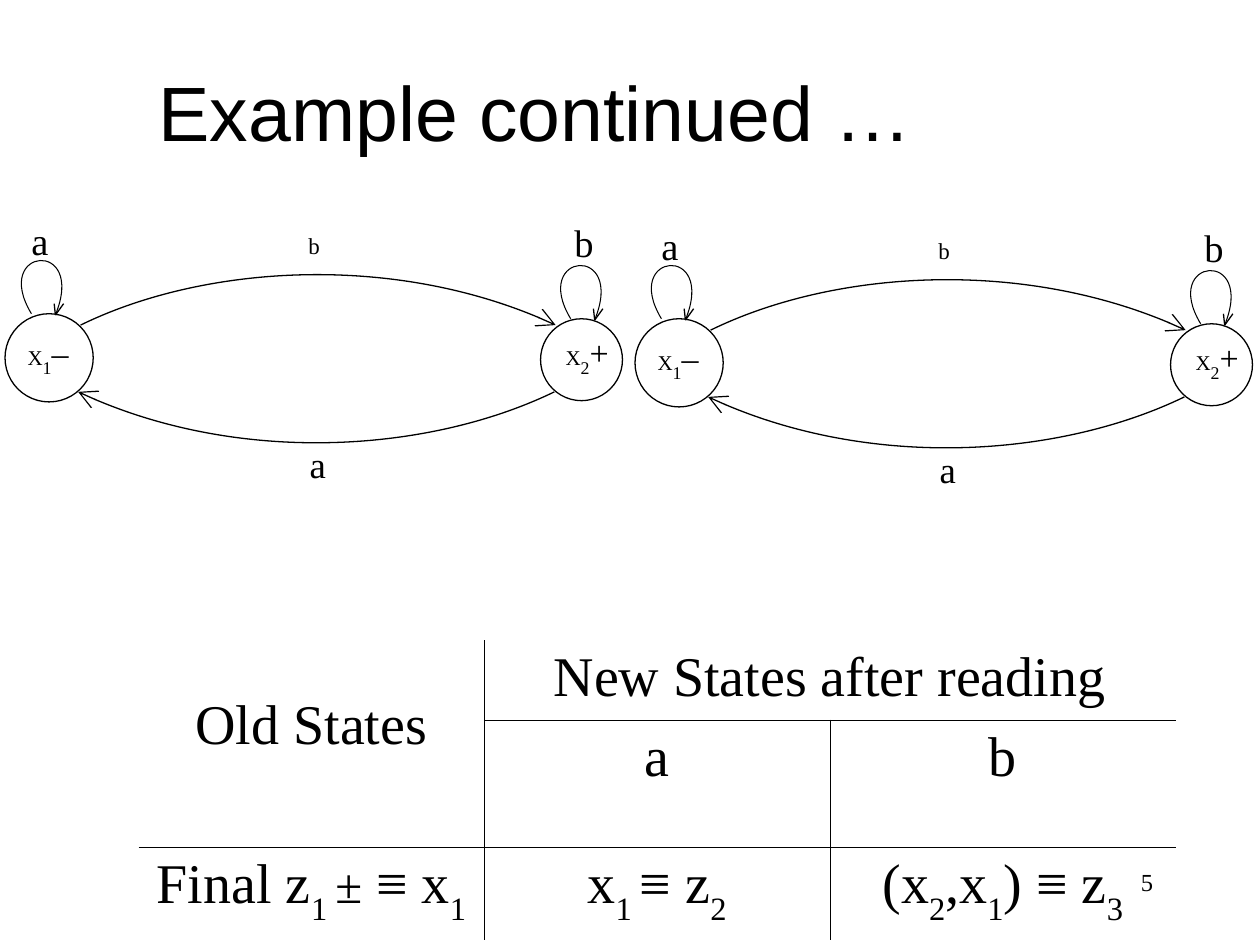
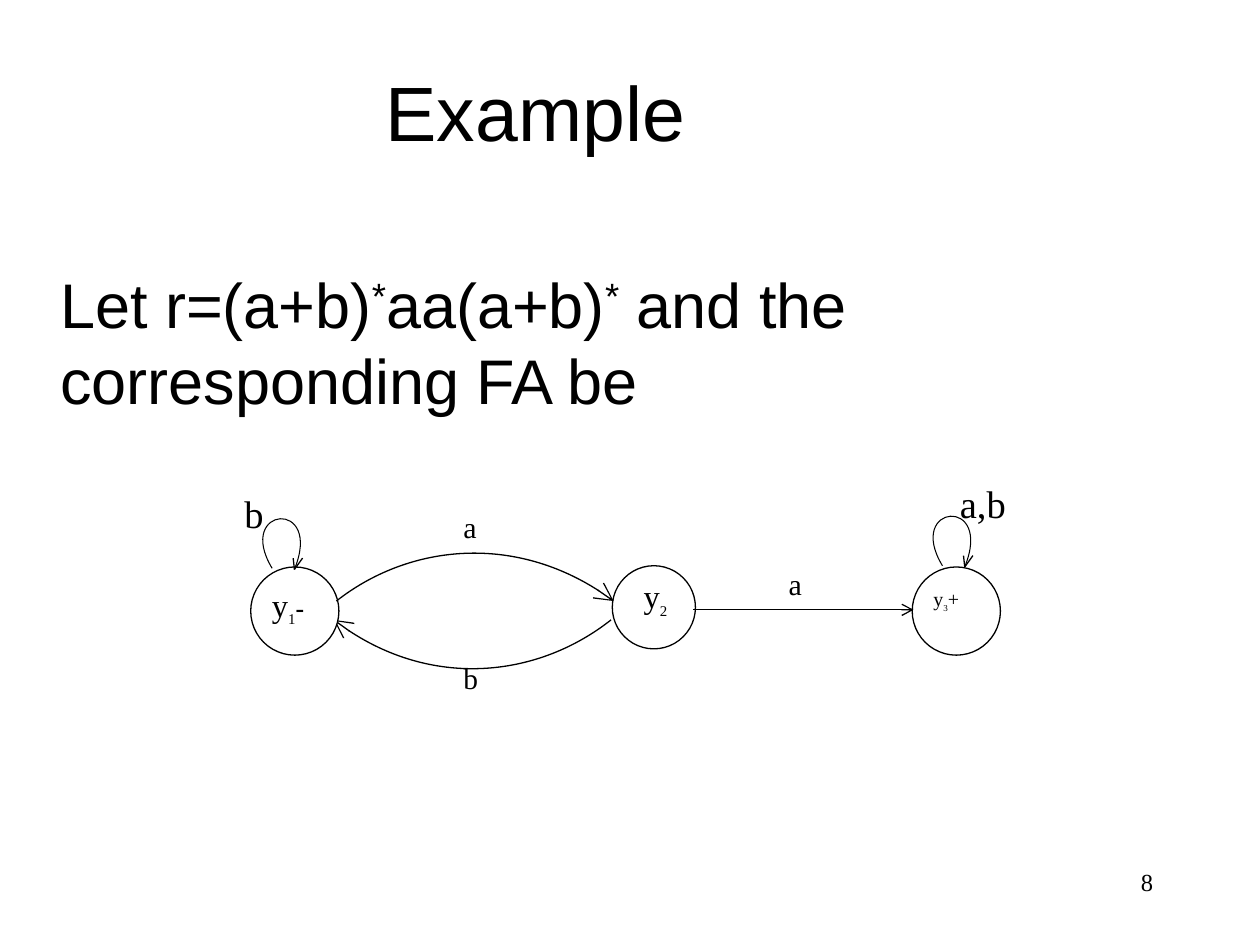
from lxml import etree
from pptx import Presentation, util as u
from pptx.dml.color import RGBColor
from pptx.enum import shapes, text
from pptx.oxml import ns

COLS, ROWS = 100, 75
SERIF, SANS = "Times New Roman", "Arial"
INK, PAPER = "000000", "FFFFFF"
SUB, SUP = -30, 30
THIN, FINE, HAIR = 0.75, 0.6, 0.45
PLAIN_GRID = "{2D5ABB26-0587-4C30-8999-92F81FD0307C}"
LEFT, MID, RIGHT = text.PP_ALIGN.LEFT, text.PP_ALIGN.CENTER, text.PP_ALIGN.RIGHT


def paint(fmt, code):
    fmt.solid()
    fmt.fore_color.rgb = RGBColor.from_string(code)


def style(item, fmt):
    for key, val in fmt.items():
        setattr(item, key, val)


def sub(node, tag, **atts):
    return etree.SubElement(node, ns.qn(tag), atts)


class Deck:
    """Holds the style, the current slide and the group being filled."""

    def __init__(self):
        self.prs = Presentation()
        self.prs.slide_width, self.prs.slide_height = u.Inches(10), u.Inches(7.5)
        self.origin = (0, 0)

    def x(self, col):
        return round(self.prs.slide_width * col / COLS)

    def y(self, row):
        return round(self.prs.slide_height * row / ROWS)

    def spot(self, col, row):
        return self.x(col + self.origin[0]), self.y(row + self.origin[1])

    def box(self, col, row, wide, high):
        return *self.spot(col, row), self.x(wide), self.y(high)

    def page(self, title, number):
        self.slide = self.prs.slides.add_slide(self.prs.slide_layouts[5])
        self.ungroup()
        head = self.slide.shapes.title
        style(head, dict(zip(("left", "top", "width", "height"), self.box(0, 2.5, 85, 12.5))))
        head.text_frame.vertical_anchor = text.MSO_ANCHOR.MIDDLE
        self.fill(head.text_frame, [(title, 44)], MID, SANS)
        self.label((71.7, 68.3, 20.8, 5), [(number, 14)], align=RIGHT)

    def group(self, col=0, row=0):
        self.host = self.slide.shapes.add_group_shape().shapes
        self.origin = (col, row)

    def ungroup(self):
        self.host, self.origin = self.slide.shapes, (0, 0)

    def fill(self, frame, runs, align=LEFT, face=SERIF):
        """Runs are (words, size, baseline percent, bold); the last two may be left out."""
        para = frame.paragraphs[0]
        para.alignment = align
        for words, size, *more in runs:
            run = para.add_run()
            run.text = words
            base, bold = (*more, 0, False)[:2]
            style(run.font, {"name": face, "size": u.Pt(size), "bold": bool(bold)})
            paint(run.font.fill, INK)
            if base:
                run.font._element.set("baseline", str(base * 1000))
        return para

    def label(self, place, runs, drop=0.5, align=LEFT, face=SERIF):
        frame = self.host.add_textbox(*self.box(*place)).text_frame
        style(frame, {"word_wrap": True, "margin_top": self.y(drop)})
        return self.fill(frame, runs, align, face)

    def trim(self, item, width, size=None):
        """Set the line, and an open arrowhead of the given size at its end."""
        paint(item.line.fill, INK)
        item.line.width = u.Pt(width)
        if size:
            sub(item.line._get_or_add_ln(), "a:tailEnd", type="arrow", w=size, len=size)

    def state(self, col, row, size):
        ring = self.host.add_shape(shapes.MSO_SHAPE.OVAL, *self.box(col, row, size, size))
        ring.shadow.inherit = False
        paint(ring.fill, PAPER)
        self.trim(ring, THIN)

    def stroke(self, spots, width=THIN, head=None):
        """Draw an open line; four spots make one Bézier curve."""
        first, *rest = [self.spot(*spot) for spot in spots]
        pen = self.host.build_freeform(*first)
        pen.add_line_segments(rest, close=False)
        item = pen.convert_to_shape()
        item.shadow.inherit = False
        item.fill.background()
        self.trim(item, width, head)
        if len(spots) == 4:
            track = next(item._element.iter(ns.qn("a:path")))
            legs = list(track)[1:]
            curve = sub(track, "a:cubicBezTo")
            for leg in legs:
                curve.append(leg[0])
                track.remove(leg)

    def arc(self, *spots):
        self.stroke(spots, head="lg")

    def loop(self, col, row, scale=1):
        """Draw a self-loop that leaves a state at the given spot."""
        steps = (0, 0), (-3.2, -5.3), (4.4, -6), (1.9, 0.1)
        spots = [(col + dx * scale, row + dy * scale) for dx, dy in steps]
        self.stroke(spots, FINE)
        tip_x, tip_y = spots[-1]
        for dx in (-0.1, 0.65):
            self.stroke([(tip_x + dx, tip_y - 0.9), (tip_x, tip_y)])

    def arrow(self, start, end):
        wire = self.host.add_connector(shapes.MSO_CONNECTOR.STRAIGHT,
                                       *self.spot(*start), *self.spot(*end))
        self.trim(wire, THIN, "med")
        sub(wire._element.spPr, "a:effectLst")

    def edge(self, cell, side):
        line = sub(cell._tc.get_or_add_tcPr(), "a:ln" + side, w=str(u.Pt(HAIR)))
        sub(sub(line, "a:solidFill"), "a:srgbClr", val=INK)

    def table(self, place, highs, rows, spans):
        """Spans are (row, column, last row, last column); outer edges stay open."""
        grid = self.host.add_table(len(rows), len(rows[0]), *self.box(*place)).table
        grid._tbl.tblPr.find(ns.qn("a:tableStyleId")).text = PLAIN_GRID
        style(grid, {"first_row": False, "horz_banding": False})
        for row, high in zip(grid.rows, highs):
            row.height = self.y(high)
        for top, left, low, right in spans:
            grid.cell(top, left).merge(grid.cell(low, right))
        owner = {(r, c): (top, left) for top, left, low, right in spans
                 for r in range(top, low + 1) for c in range(left, right + 1)}
        sides = {"L": (0, -1), "R": (0, 1), "T": (-1, 0), "B": (1, 0)}
        for r, row in enumerate(rows):
            for c, runs in enumerate(row):
                cell, here = grid.cell(r, c), owner.get((r, c), (r, c))
                for side, (down, over) in sides.items():
                    near = r + down, c + over
                    inside = 0 <= near[0] < len(rows) and 0 <= near[1] < len(row)
                    if inside and owner.get(near, near) != here:
                        self.edge(cell, side)
                cell.fill.background()
                if runs:
                    self.fill(cell.text_frame, runs, MID)
        return grid


def two_state(deck, col, row):
    deck.group(col, row)
    deck.label((44.6, 16.9, 8.4, 5.6), [("b", 22)])
    deck.label((1.5, 16.7, 8.4, 5.6), [("a", 22)])
    deck.state(42.9, 25.3, 6.5)
    deck.label((23.6, 34.6, 3.9, 4.6), [("a", 21)])
    deck.state(0.4, 24.9, 7)
    deck.arc((6.4, 25.8), (16, 21.1), (31.7, 20), (44.1, 25.8))
    deck.label((23.5, 17.9, 3.3, 3.3), [("b", 13.1)])
    deck.arc((44, 31.1), (34.3, 35.8), (18.7, 37), (6.2, 31.1))
    deck.loop(45.3, 25.3)
    deck.loop(2.5, 24.9)
    for left, index, sign in ((1.2, "1", "–"), (43.9, "2", "+")):
        deck.label((left, 24.2, 9.8, 6.8), [("X", 12), (index, 17.6, SUB), (sign, 19.4)], drop=2.1)
    deck.ungroup()


def three_state(deck):
    deck.group()
    deck.label((75.2, 37.6, 9.8, 6.7), [("a,b", 22)])
    deck.state(48.6, 44.9, 6.6)
    deck.loop(74.8, 44.9, 0.93)
    deck.arc((48.5, 49.2), (42.8, 53.7), (33.7, 54.8), (26.5, 49.2))
    deck.state(19.9, 45, 7)
    deck.loop(21.6, 45.1, 0.93)
    deck.label((18.4, 38.4, 9.8, 6.7), [("b", 22)])
    deck.arc((26.7, 47.7), (32.3, 43.3), (41.4, 42.2), (48.7, 47.7))
    deck.state(72.4, 45, 7)
    deck.arrow((55, 48.4), (72.5, 48.4))
    for left, top, mark, size in ((35.8, 39.9, "a", 17.1), (61.6, 44.4, "a", 17.1),
                                  (35.8, 51.9, "b", 16.8)):
        deck.label((left, top, 4.1, 4), [(mark, size)])
    deck.label((20.6, 45.9, 8, 4.6), [("y", 18.6), ("1", 14.7, SUB), ("-", 14.7, 0, True)])
    deck.label((73.1, 46.1, 7.7, 3.4), [("y", 11.4), ("3", 9, SUB), ("+", 11.4)])
    deck.label((50.1, 45.2, 8, 4.5), [("y", 18.6), ("2", 14.7, SUB)])
    deck.ungroup()


def states(deck):
    big = 32
    rows = [
        [[("Old States", big)], [("New States after reading", big)], None],
        [None, [("a", big)], [("b", big)]],
        [[("Final z", big), ("1 ", big, SUB), ("±", 28), (" ≡ x", big), ("1", big, SUB)],
         [("x", big), ("1 ", big, SUB), ("≡ z", big), ("2", big, SUB)],
         [("(x", big), ("2", big, SUB), (",x", big), ("1", big, SUB),
          (") ≡ z", big), ("3", big, SUB)]],
    ]
    grid = deck.table((11, 50.8, 82.3, 22.4), (5.9, 9.6, 6.9), rows,
                      [(0, 0, 1, 0), (0, 1, 0, 2)])
    grid.cell(0, 0).margin_top = deck.y(4.3)


def main():
    deck = Deck()
    deck.page("Example continued …", "5")
    two_state(deck, 0, 0)
    states(deck)
    two_state(deck, 50, 0.4)

    deck.page("Example", "8")
    para = deck.label((0, 20.6, 89.4, 45.6), [
        ("Let r=(a+b)", 36), ("*", 36, SUP), ("aa(a+b)", 36), ("*", 36, SUP),
        (" and the corresponding FA be", 36)], face=SANS)
    para._p.get_or_add_pPr().set("marL", str(deck.x(3.8)))
    three_state(deck)
    deck.prs.save("out.pptx")


if __name__ == "__main__":
    main()
